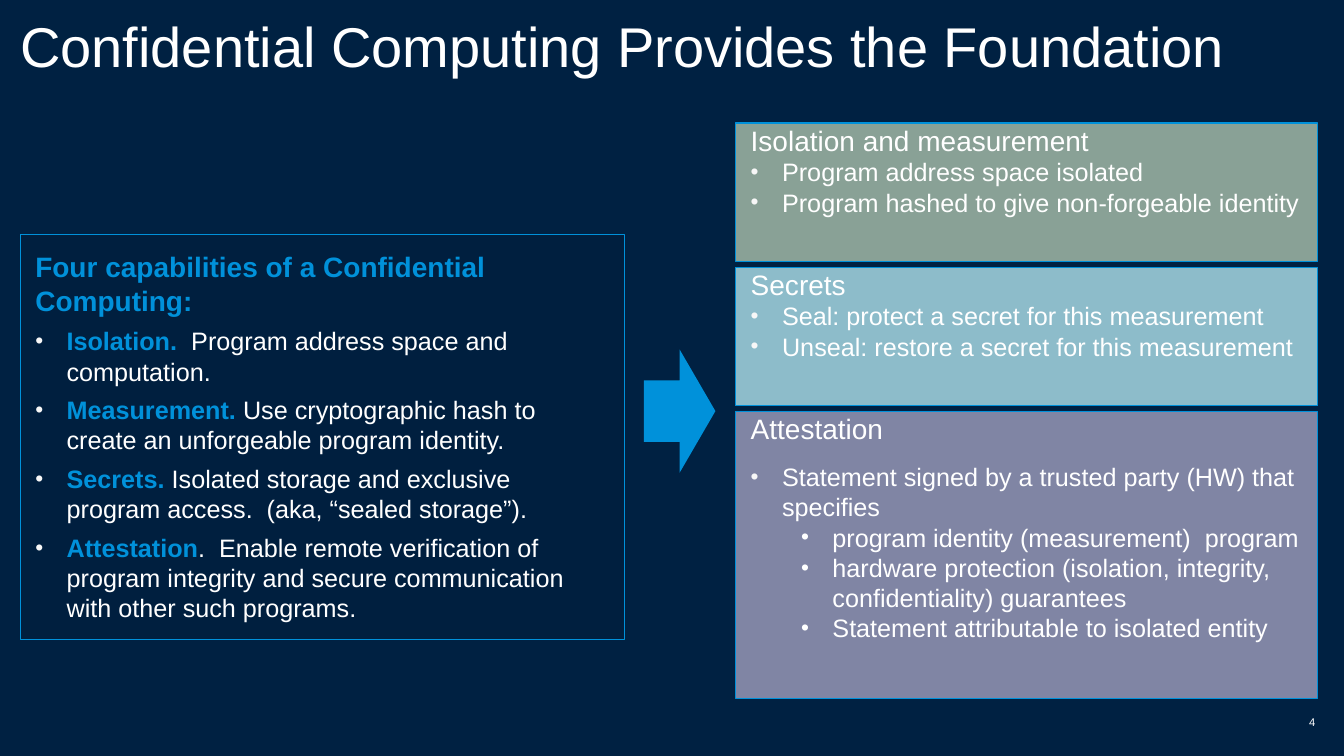
from dataclasses import dataclass

from lxml.etree import SubElement
from pptx import Presentation
from pptx.dml.color import RGBColor
from pptx.enum.shapes import MSO_SHAPE as Shape
from pptx.enum.text import MSO_ANCHOR as Anchor, PP_ALIGN as Align
from pptx.oxml.ns import qn
from pptx.util import Cm, Pt


@dataclass(frozen=True)
class Theme:
    font: str = "Arial"
    navy: str = "002142"
    panel: str = "001F3F"
    blue: str = "0091DA"
    white: str = "FFFFFF"
    bullet: str = "F7F7F7"
    green: str = "E5F7CE"
    aqua: str = "C4F9FF"
    lilac: str = "E6D4F2"
    title: int = 40
    heading: int = 20
    body: int = 18
    number: int = 8


THEME = Theme()

CAPABILITIES = [
    ("Isolation.  ", "Program address space and computation."),
    ("Measurement.", " Use cryptographic hash to create an unforgeable program identity."),
    ("Secrets. ", "Isolated storage and exclusive program access.  (aka, “sealed storage”)."),
    ("Attestation", ".  Enable remote verification of program integrity and secure "
     "communication with other such programs."),
]

PANELS = [
    ("Isolation and measurement", THEME.green, 60, 3.5, 0, [
        (0, "Program address space isolated"),
        (0, "Program hashed to give non-forgeable identity"),
    ]),
    ("Secrets", THEME.aqua, 72, 3.5, 0, [
        (0, "Seal: protect a secret for this measurement"),
        (0, "Unseal: restore a secret for this measurement"),
    ]),
    ("Attestation", THEME.lilac, 56, 7.24, 12, [
        (0, "Statement signed by a trusted party (HW) that specifies"),
        (1, "program identity (measurement)  program"),
        (1, "hardware protection (isolation, integrity, confidentiality) guarantees"),
        (1, "Statement attributable to isolated entity"),
    ]),
]


def rgb(color):
    return RGBColor.from_string(color)


def add_text(p, text, size=THEME.body, color=THEME.white, bold=False):
    r = p.add_run()
    r.text = text
    r.font.name = THEME.font
    r.font.size = Pt(size)
    r.font.bold = bold
    r.font.color.rgb = rgb(color)


def set_frame(tf, inset=(0, 0, 0, 0), anchor=Anchor.TOP):
    tf.word_wrap = True
    tf.vertical_anchor = anchor
    tf.margin_left, tf.margin_top, tf.margin_right, tf.margin_bottom = map(Cm, inset)


def add_label(s, text, box, size, align, anchor):
    tf = s.shapes.add_textbox(*map(Cm, box)).text_frame
    set_frame(tf, anchor=anchor)
    p = tf.paragraphs[0]
    p.alignment = align
    p.line_spacing = 0.9
    add_text(p, text, size=size)


def add_block(s, kind, box, fill, alpha=100, outline=True):
    sp = s.shapes.add_shape(kind, *map(Cm, box))
    sp.shadow.inherit = False
    sp.fill.solid()
    sp.fill.fore_color.rgb = rgb(fill)
    if alpha < 100:
        color = sp.fill._xPr.find(qn("a:solidFill"))[0]
        SubElement(color, qn("a:alpha"), val=str(alpha * 1000))
    if outline:
        sp.line.color.rgb = rgb(THEME.blue)
        sp.line.width = Pt(0.75)
    else:
        sp.line.fill.background()
    return sp


def add_heading(tf, text, **style):
    p = tf.paragraphs[0]
    p.alignment = Align.LEFT
    add_text(p, text, size=THEME.heading, **style)


def add_bullet(tf, level=0, before=0):
    p = tf.add_paragraph()
    p.alignment = Align.LEFT
    p.level = level
    p.space_before = Pt(before)
    pPr = p._p.get_or_add_pPr()
    pPr.set("marL", str(Cm(0.79 + 1.27 * level)))
    pPr.set("indent", str(Cm(-0.79)))
    color = SubElement(pPr, qn("a:buClr"))
    SubElement(color, qn("a:srgbClr"), val=THEME.white if level else THEME.bullet)
    SubElement(pPr, qn("a:buSzPct"), val="90000")
    SubElement(pPr, qn("a:buFont"), typeface=THEME.font)
    SubElement(pPr, qn("a:buChar"), char="•")
    return p


def add_capabilities(s):
    tf = add_block(s, Shape.RECTANGLE, (0.51, 5.92, 15.24, 10.19), THEME.panel).text_frame
    set_frame(tf, inset=(0.38,) * 4)
    add_heading(tf, "Four capabilities of a Confidential Computing:",
                color=THEME.blue, bold=True)
    for term, detail in CAPABILITIES:
        p = add_bullet(tf, before=6)
        add_text(p, term, color=THEME.blue, bold=True)
        add_text(p, detail)


def add_panels(s, top=3.1, gap=0.13):
    for heading, fill, alpha, height, lead, bullets in PANELS:
        box = (18.54, top, 14.66, height)
        tf = add_block(s, Shape.RECTANGLE, box, fill, alpha).text_frame
        set_frame(tf, inset=(0.38, 0, 0, 0))
        add_heading(tf, heading)
        for i, (level, text) in enumerate(bullets):
            add_text(add_bullet(tf, level, 0 if i else lead), text)
        top += height + gap


def main():
    prs = Presentation()
    prs.slide_width, prs.slide_height = Cm(33.87), Cm(19.05)
    s = prs.slides.add_slide(prs.slide_layouts[6])
    s.background.fill.solid()
    s.background.fill.fore_color.rgb = rgb(THEME.navy)
    add_label(s, "Confidential Computing Provides the Foundation",
              (0.51, 0.03, 33.35, 1.98), THEME.title, Align.LEFT, Anchor.BOTTOM)
    add_panels(s)
    add_capabilities(s)
    add_block(s, Shape.RIGHT_ARROW, (16.23, 8.81, 1.8, 3.1), THEME.blue, outline=False)
    add_label(s, "4", (31.93, 17.96, 1.22, 0.51), THEME.number, Align.RIGHT, Anchor.MIDDLE)
    prs.save("out.pptx")


if __name__ == "__main__":
    main()
